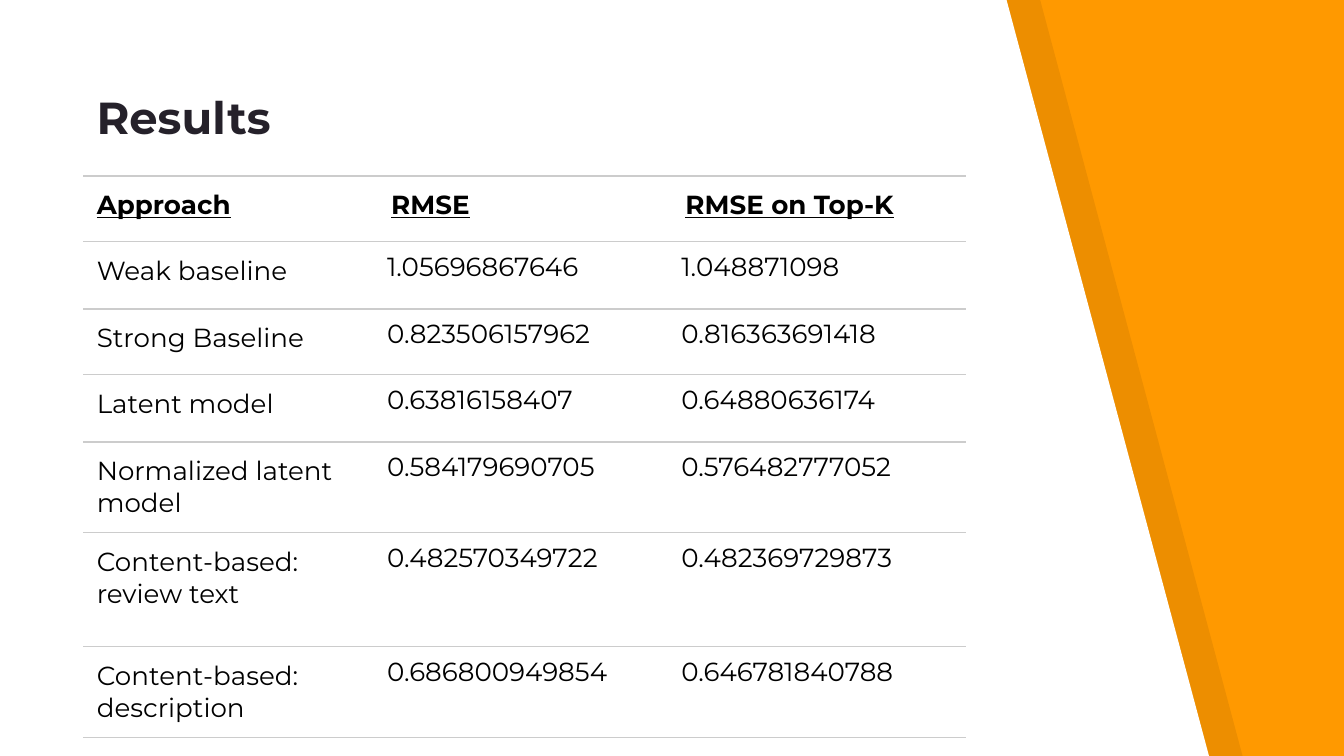
"""Build the results slide: an RMSE table beside a slanted orange band."""
from lxml import etree
from pptx import Presentation
from pptx import util as u
from pptx.dml.color import RGBColor
from pptx.enum import text
from pptx.oxml import parse_xml
from pptx.oxml.ns import nsdecls, qn


def rgb(value):
    return RGBColor.from_string(value)


def write(p, words, **fmt):
    r = p.add_run()
    r.text = words
    r.font.color.rgb = rgb(fmt.pop("color"))
    for name, value in {"name": "Montserrat", **fmt}.items():
        setattr(r.font, name, value)


prs = Presentation()
prs.slide_width = u.Inches(10)
prs.slide_height = prs.slide_width * 9 // 16
s = prs.slides.add_slide(prs.slide_layouts[6])
s.background.fill.solid()
s.background.fill.fore_color.rgb = rgb("FF9900")

for x, color, alpha in [(0.25, "000000", 7), (0, "FFFFFF", 100)]:
    corners = [(x, -0.01), (x, 5.64), (x + 9, 5.64), (x + 7.49, 0)]
    points = [(u.Inches(px), u.Inches(py)) for px, py in corners]
    fb = s.shapes.build_freeform(*points[0])
    fb.add_line_segments(points[1:], close=True)
    sp = fb.convert_to_shape()
    sp.shadow.inherit = False
    sp.line.fill.background()
    sp.fill.solid()
    sp.fill.fore_color.rgb = rgb(color)
    if alpha < 100:
        clr = sp.fill._xPr.find(qn("a:solidFill"))[0]
        etree.SubElement(clr, qn("a:alpha"), val=str(alpha * 1000))

rows = [
    ("Approach", "RMSE", "RMSE on Top-K"),
    ("Weak baseline", "1.05696867646", "1.048871098"),
    ("Strong Baseline", "0.823506157962", "0.816363691418"),
    ("Latent model", "0.63816158407", "0.64880636174"),
    ("Normalized latent model", "0.584179690705", "0.576482777052"),
    ("Content-based: review text", "0.482570349722", "0.482369729873"),
    ("Content-based: description", "0.686800949854", "0.646781840788"),
]
heights = [0.49, 0.5, 0.49, 0.5, 0.67, 0.85, 0.67]
solid = '<a:solidFill><a:srgbClr val="CCCCCC"/></a:solidFill>'
borders = [("lnL", "<a:noFill/>"), ("lnR", "<a:noFill/>"), ("lnT", solid), ("lnB", solid)]

table = s.shapes.add_table(len(rows), 3, u.Inches(0.62), u.Inches(1.31),
                           u.Inches(6.57), u.Inches(sum(heights))).table
table.first_row = table.horz_banding = False
for col in table.columns:
    col.width = u.Inches(2.19)
for i, (row, height) in enumerate(zip(rows, heights)):
    table.rows[i].height = u.Inches(height)
    for j, words in enumerate(row):
        cell = table.cell(i, j)
        cell.fill.background()
        inset = u.Inches(0.07 if i and j else 0.1)
        for side in ("left", "top", "right", "bottom"):
            setattr(cell, f"margin_{side}", inset)
        tcPr = cell._tc.get_or_add_tcPr()
        for k, (tag, fill) in enumerate(borders):
            tcPr.insert(k, parse_xml(f'<a:{tag} {nsdecls("a")} w="9525">{fill}</a:{tag}>'))
        write(cell.text_frame.paragraphs[0], words, size=u.Pt(14), color="000000",
              bold=i == 0, underline=i == 0)

tf = s.shapes.add_textbox(u.Inches(0.62), u.Inches(0.4), u.Inches(7.24), u.Inches(0.77)).text_frame
tf.word_wrap = True
tf.vertical_anchor = text.MSO_ANCHOR.BOTTOM
for side in ("left", "top", "right", "bottom"):
    setattr(tf, f"margin_{side}", u.Inches(0.1))
write(tf.paragraphs[0], "Results", size=u.Pt(24), color="25212A", bold=True)

prs.save("out.pptx")
